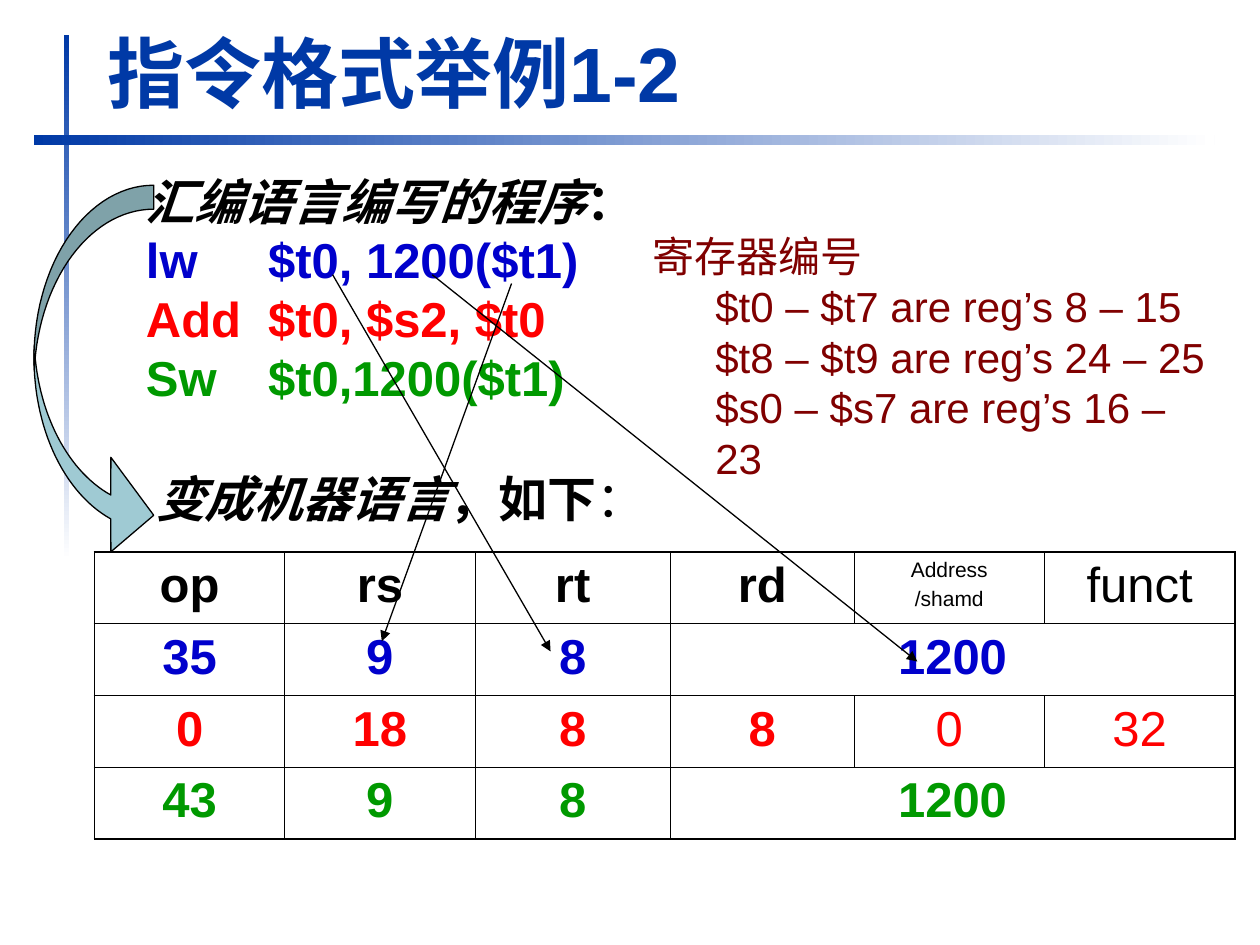
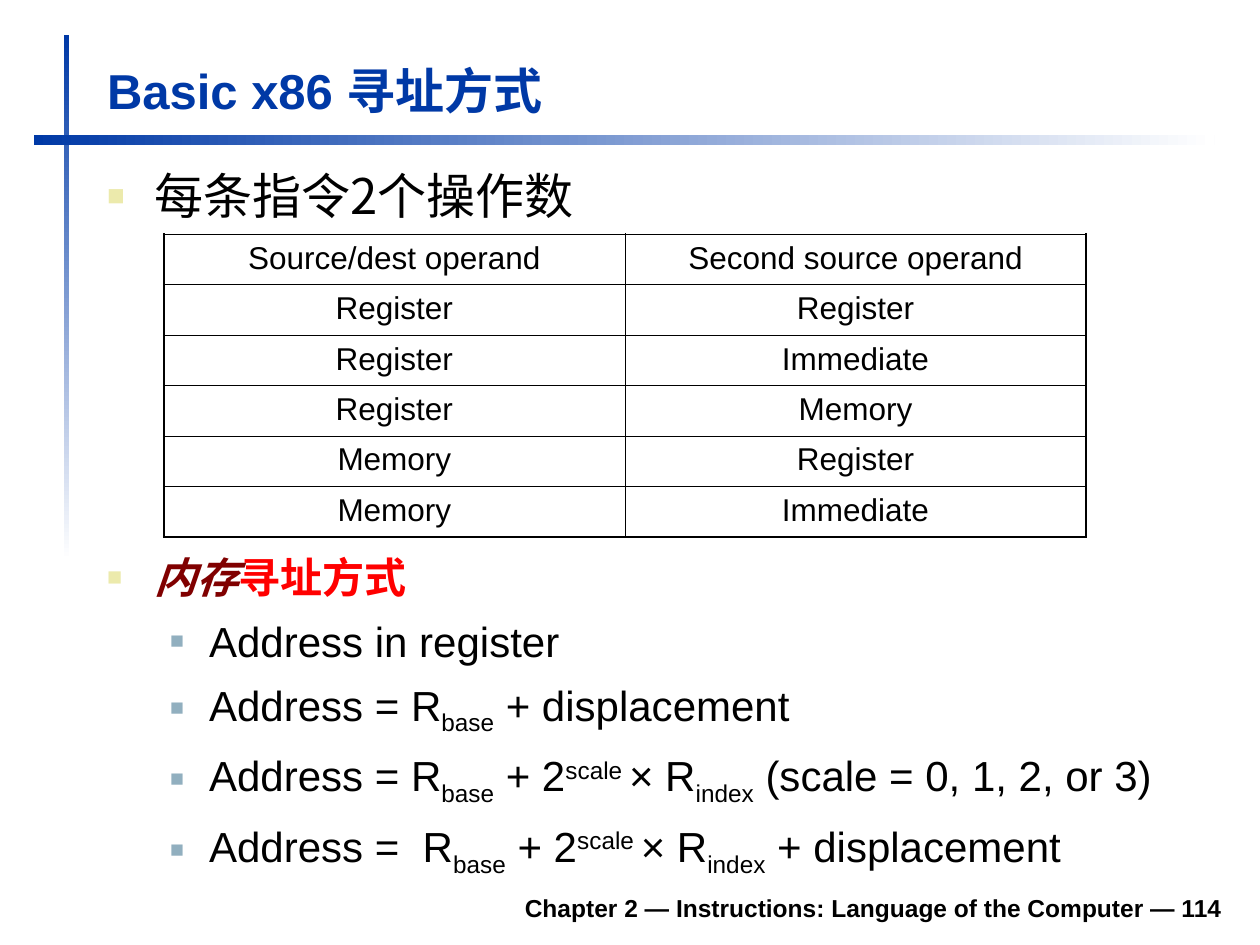
import math

import pptx
import pptx.dml.color
import pptx.enum.dml
import pptx.enum.shapes
import pptx.enum.text
import pptx.oxml
import pptx.oxml.ns
import pptx.util
from pptx.util import Inches

COLORS = {
    "navy": "0039A6", "white": "FFFFFF", "black": "000000",
    "blue": "0000CC", "red": "FF0000", "green": "009900", "maroon": "800000",
    "sand": "ECEAAC", "steel": "91AFBF", "teal": "9FCAD3", "dark teal": "7FA2A9",
}
LATIN, CJK = "Arial", "Noto Sans CJK SC"
ALIGN = pptx.enum.text.PP_ALIGN
ANCHOR = pptx.enum.text.MSO_ANCHOR
THIN, THICK = 0.45, 1.08

BULLETS = {
    0: {"left": 0.38, "hang": 0.38, "color": "sand", "percent": 60},
    1: {"left": 0.81, "hang": 0.31, "color": "steel", "percent": 55},
}
SUB, SUPER = {"baseline": -25}, {"baseline": 30}


def rgb(name):
    return pptx.dml.color.RGBColor.from_string(COLORS[name])


def add_xml(parent, xml):
    """Append one DrawingML element, given without its namespace declaration."""
    tag, rest = xml[:xml.index(" ")], xml[xml.index(" "):]
    parent.append(pptx.oxml.parse_xml(
        f"{tag} {pptx.oxml.ns.nsdecls('a')}{rest}"))


def para(*runs, **form):
    """Describe a paragraph: runs are strings or (string, format) pairs."""
    return [run if isinstance(run, tuple) else (run, {}) for run in runs], form


class Deck:
    def __init__(self):
        self.prs = pptx.Presentation()
        self.prs.slide_width, self.prs.slide_height = Inches(10), Inches(7.5)
        self.slide = None

    def start_slide(self, layout, title, top, height, size):
        self.slide = self.prs.slides.add_slide(self.prs.slide_layouts[layout])
        self.band((0.51, 0.28, 0.04, 4.17), 270)
        self.band((0.27, 1.07, 9.37, 0.08), 0)
        heading = self.slide.shapes.title
        self.place(heading, (0.75, top, 9.03, height))
        self.set_text(heading.text_frame, [para(title)], anchor=ANCHOR.BOTTOM,
                      size=size, bold=True, color="navy")

    def place(self, shape, box):
        for side, value in zip(("left", "top", "width", "height"), box):
            setattr(shape, side, Inches(value))

    def band(self, box, angle):
        bar = self.slide.shapes.add_shape(
            pptx.enum.shapes.MSO_SHAPE.RECTANGLE, *map(Inches, box))
        bar.shadow.inherit = False
        bar.line.fill.background()
        bar.fill.gradient()
        bar.fill.gradient_angle = angle
        for stop, name in zip(bar.fill.gradient_stops, ("navy", "white")):
            stop.color.rgb = rgb(name)

    def set_text(self, frame, paragraphs, anchor=ANCHOR.TOP, **style):
        settings = {"word_wrap": True, "vertical_anchor": anchor,
                    "auto_size": pptx.enum.text.MSO_AUTO_SIZE.NONE}
        for name, value in settings.items():
            setattr(frame, name, value)
        self.fill_text(frame, paragraphs, **style)

    def fill_text(self, frame, paragraphs, **style):
        for index, (runs, form) in enumerate(paragraphs):
            paragraph = frame.add_paragraph() if index else frame.paragraphs[0]
            self.format_paragraph(paragraph, {**style, **form}, index == 0)
            for text, changes in runs:
                run = paragraph.add_run()
                run.text = text
                self.format_run(run, {**style, **form, **changes})

    def format_paragraph(self, paragraph, form, first):
        paragraph.alignment = form.get("align", ALIGN.LEFT)
        paragraph.level = form.get("level", 0)
        paragraph.space_before = pptx.util.Pt(0 if first else form.get("before", 0))
        if "spacing" in form:
            paragraph.line_spacing = form["spacing"]
        props = paragraph._p.get_or_add_pPr()
        if "left" in form:
            props.set("marL", str(Inches(form["left"])))
            props.set("indent", "0")
        if form.get("bulleted"):
            bullet = BULLETS[paragraph.level]
            props.set("marL", str(Inches(bullet["left"])))
            props.set("indent", str(-Inches(bullet["hang"])))
            add_xml(props, f'<a:buClr ><a:srgbClr val="{COLORS[bullet["color"]]}"/></a:buClr>')
            add_xml(props, f'<a:buSzPct val="{bullet["percent"] * 1000}"/>')
            add_xml(props, f'<a:buFont typeface="{LATIN}"/>')
            add_xml(props, '<a:buChar char="■"/>')
        if "tab" in form:
            add_xml(props, f'<a:tabLst ><a:tab pos="{Inches(form["tab"])}" algn="l"/></a:tabLst>')

    def format_run(self, run, form):
        face = form.get("font", LATIN)
        values = {"name": face, "size": pptx.util.Pt(form["size"]),
                  "bold": form.get("bold", False), "italic": form.get("italic", False)}
        for name, value in values.items():
            setattr(run.font, name, value)
        run.font.color.rgb = rgb(form.get("color", "black"))
        props = run._r.get_or_add_rPr()
        add_xml(props, f'<a:ea typeface="{face}"/>')
        if "baseline" in form:
            props.set("baseline", str(form["baseline"] * 1000))

    def text(self, box, paragraphs, **style):
        frame = self.slide.shapes.add_textbox(*map(Inches, box)).text_frame
        self.set_text(frame, paragraphs, **style)

    def bullets(self, index, box, paragraphs, **style):
        body = self.slide.placeholders[index]
        self.place(body, box)
        self.set_text(body.text_frame, paragraphs, bulleted=True, **style)

    def table(self, left, top, widths, row_height, rows, merges=(), **style):
        """Draw rows of paragraph lists; merges holds (row, first column, last column)."""
        grid = self.slide.shapes.add_table(
            len(rows), len(widths), Inches(left), Inches(top),
            Inches(sum(widths)), Inches(row_height * len(rows))).table
        grid.first_row = grid.horz_banding = False
        for column, width in zip(grid.columns, widths):
            column.width = Inches(width)
        for r, row in enumerate(rows):
            grid.rows[r].height = Inches(row_height)
            for c in range(len(widths)):
                cell = grid.cell(r, c)
                outer = {"L": c == 0, "R": c == len(widths) - 1,
                         "T": r == 0, "B": r == len(rows) - 1}
                self.frame_cell(cell, outer)
                if c < len(row):
                    self.fill_text(cell.text_frame, row[c], align=ALIGN.CENTER, **style)
        for r, first, last in merges:
            grid.cell(r, first).merge(grid.cell(r, last))
            self.frame_cell(grid.cell(r, first), {
                "L": False, "R": True, "T": False, "B": r == len(rows) - 1})

    def frame_cell(self, cell, outer):
        props = cell._tc.get_or_add_tcPr()
        for child in list(props):
            props.remove(child)
        for side, is_outer in outer.items():
            width = pptx.util.Pt(THICK if is_outer else THIN)
            add_xml(props, f'<a:ln{side} w="{width}"><a:solidFill><a:srgbClr '
                           f'val="{COLORS["black"]}"/></a:solidFill></a:ln{side}>')
        cell.fill.background()

    def arrow(self, start, end):
        link = self.slide.shapes.add_connector(
            pptx.enum.shapes.MSO_CONNECTOR.STRAIGHT, *map(Inches, start + end))
        link.line.color.rgb = rgb("black")
        link.line.width = pptx.util.Pt(0.75)
        add_xml(link.line._get_or_add_ln(), '<a:tailEnd type="triangle"/>')
        add_xml(link._element.spPr, "<a:effectLst />")

    def outline(self, points, color):
        (x, y), *others = points
        builder = self.slide.shapes.build_freeform(Inches(x), Inches(y), scale=1.0)
        builder.add_line_segments([(Inches(px), Inches(py)) for px, py in others])
        shape = builder.convert_to_shape()
        shape.shadow.inherit = False
        shape.fill.solid()
        shape.fill.fore_color.rgb = rgb(color)
        shape.line.color.rgb = rgb("black")
        shape.line.width = pptx.util.Pt(0.75)


def arc(center_y, start, end, steps=30):
    """Points on the left half of an ellipse; 0 degrees is left, 90 is top."""
    angles = [math.radians(start + (end - start) * i / steps) for i in range(steps + 1)]
    return [(1.22 - 0.95 * math.cos(a), center_y - 1.37 * math.sin(a)) for a in angles]


def translation_arrow(deck):
    """Curved arrow that leads from the assembly program to the machine code."""
    middle, thickness = 2.84, 0.19
    head = [(0.88, 4.38), (1.22, 4.09), (0.88, 3.63)]
    deck.outline(arc(middle, 4, -69) + head + arc(middle - thickness, -69, -4), "teal")
    deck.outline(arc(middle, 90, -4) + arc(middle + thickness, 4, 90), "dark teal")


def instruction_formats(deck):
    deck.start_slide(5, "指令格式举例1-2", 0.16, 0.83, 44)

    def field_row(color, *values, plain_from=4):
        return [[para(value, color=color, bold=c < plain_from)]
                for c, value in enumerate(values)]

    header = field_row("black", "op", "rs", "rt", "rd")
    header += [[para("Address", size=12), para("/shamd", size=12, before=3)],
               [para("funct")]]
    fields = [header,
              field_row("blue", "35", "9", "8", "1200"),
              field_row("red", "0", "18", "8", "8", "0", "32"),
              field_row("green", "43", "9", "8", "1200")]
    deck.table(0.75, 4.38, [1.51, 1.51, 1.55, 1.46, 1.51, 1.51], 0.57, fields,
               merges=[(1, 3, 5), (3, 3, 5)], size=28)

    program = {"size": 28, "bold": True, "spacing": pptx.util.Pt(33.6)}
    deck.text((1.06, 1.31, 3.98, 1.97), [
        para(("汇编语言编写的程序", {"italic": True}), "："),
        para("lw\t$t0, 1200($t1)", color="blue"),
        para("Add\t$t0, $s2, $t0", color="red"),
        para("Sw\t$t0,1200($t1)", color="green"),
    ], tab=0.97, **program)
    deck.text((1.14, 3.67, 4.17, 0.57), [
        para(("变成机器语言", {"italic": True}), "，如下", ("：", {"bold": False})),
    ], **program)
    translation_arrow(deck)

    ranges = ["$t0 – $t7 are reg’s 8 – 15", "$t8 – $t9 are reg’s 24 – 25",
              "$s0 – $s7 are reg’s 16 – 23"]
    deck.text((5.08, 1.78, 4.73, 2.71),
              [para("寄存器编号")] + [para(line, level=1, left=0.5) for line in ranges],
              size=24, color="maroon", spacing=pptx.util.Pt(28.8))

    for operand, field in (((2.64, 2.18), (4.37, 5.17)),
                           ((4.06, 2.25), (3.03, 5.09)),
                           ((3.43, 2.18), (7.28, 5.25))):
        deck.arrow(operand, field)


def addressing_modes(deck):
    deck.start_slide(3, "Basic x86 寻址方式", 0.43, 0.57, 28)
    deck.text((1.85, 6.98, 7.95, 0.39),
              [para("Chapter 2 — Instructions: Language of the Computer — 114")],
              anchor=ANCHOR.BOTTOM, align=ALIGN.RIGHT, size=14, bold=True)
    deck.bullets(1, (0.75, 1.23, 9.04, 0.71), [para("每条指令2个操作数")],
                 size=28, font=CJK, spacing=pptx.util.Pt(36))

    operands = [("Source/dest operand", "Second source operand"),
                ("Register", "Register"), ("Register", "Immediate"),
                ("Register", "Memory"), ("Memory", "Register"),
                ("Memory", "Immediate")]
    deck.table(1.3, 1.86, [3.66, 3.66], 0.4,
               [[[para(name)] for name in pair] for pair in operands], size=18)

    base = ("base", SUB)
    scaled_index = [base, " + 2", ("scale ", SUPER), "× R", ("index", SUB)]
    modes = [["Address in register"],
             ["Address = R", base, " + displacement"],
             ["Address = R", *scaled_index, " (scale = 0, 1, 2, or 3)"],
             ["Address =  R", *scaled_index, " + displacement"]]
    heading = para(("内存", {"color": "maroon", "italic": True}), "寻址方式",
                   color="red", bold=True, font=CJK, spacing=pptx.util.Pt(31))
    deck.bullets(2, (0.75, 4.3, 9.04, 2.52),
                 [heading] + [para(*mode, level=1, before=6) for mode in modes],
                 size=24, spacing=1.05)


def main():
    deck = Deck()
    instruction_formats(deck)
    addressing_modes(deck)
    deck.prs.save("out.pptx")


if __name__ == "__main__":
    main()
